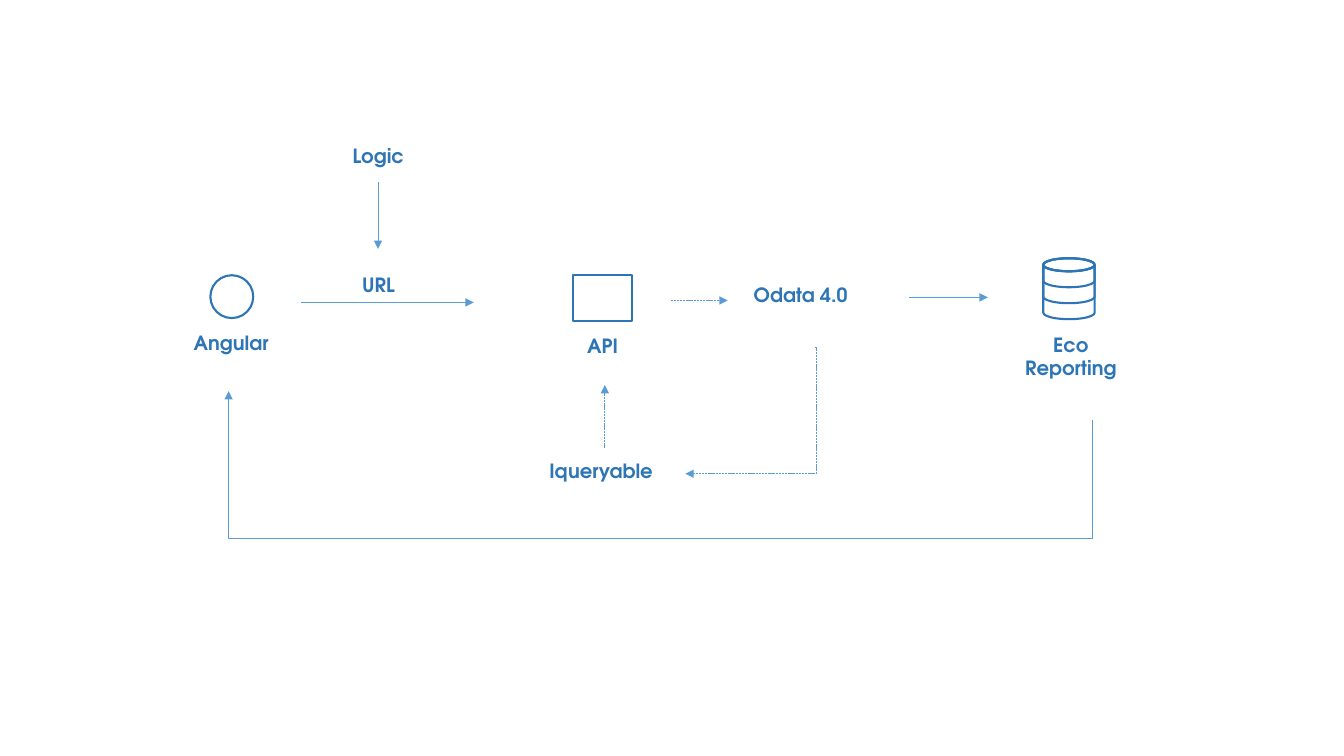
from lxml.etree import SubElement
from pptx import Presentation
from pptx.dml.color import RGBColor
from pptx.enum.dml import MSO_LINE
from pptx.enum.shapes import MSO_CONNECTOR, MSO_SHAPE
from pptx.enum.text import PP_ALIGN
from pptx.oxml.ns import qn
from pptx.util import Pt

FONT = "TeX Gyre Adventor"
LABEL_BLUE = RGBColor(0x2E, 0x75, 0xB6)
ARROW_BLUE = RGBColor(0x5B, 0x9B, 0xD5)
LABEL_INSET = 9.36
LABEL_HEIGHT = 36.72


def add_label(page, text, left, top, width=100, height=LABEL_HEIGHT,
              size=14, color=LABEL_BLUE, bold=True):
    box = page.shapes.add_textbox(Pt(left), Pt(top), Pt(width), Pt(height))
    frame = box.text_frame
    frame.word_wrap = True
    frame.margin_left = frame.margin_right = Pt(LABEL_INSET)
    frame.margin_top = frame.margin_bottom = Pt(LABEL_INSET)
    para = frame.paragraphs[0]
    para.alignment = PP_ALIGN.CENTER
    span = para.add_run()
    span.text = text
    span.font.name = FONT
    span.font.size = Pt(size)
    span.font.bold = bold
    span.font.color.rgb = color


def add_link(page, start, end, dashed=False, arrow=True, bend=None):
    """Draw a connector; bend is the elbow's place along its width, from 0 to 1."""
    kind = MSO_CONNECTOR.STRAIGHT if bend is None else MSO_CONNECTOR.ELBOW
    link = page.shapes.add_connector(kind, *(Pt(value) for value in start + end))
    link.line.color.rgb = ARROW_BLUE
    link.line.width = Pt(0.5)
    if dashed:
        link.line.dash_style = MSO_LINE.SQUARE_DOT
    properties = link._element.spPr
    if arrow:
        SubElement(properties.find(qn("a:ln")), qn("a:tailEnd"), type="triangle")
    if bend is not None:
        guides = properties.find(qn("a:prstGeom")).find(qn("a:avLst"))
        SubElement(guides, qn("a:gd"), name="adj1", fmla=f"val {round(bend * 100000)}")
    SubElement(properties, qn("a:effectLst"))


def add_outline(page, kind, left, top, width, height, weight=1.5):
    shape = page.shapes.add_shape(kind, Pt(left), Pt(top), Pt(width), Pt(height))
    shape.shadow.inherit = False
    shape.fill.background()
    shape.line.color.rgb = LABEL_BLUE
    shape.line.width = Pt(weight)
    return shape


def add_database(page, left, top, width, cap=9.3, band=11.4, bands=3):
    """Nest cylinders that share a top, one for each band."""
    for count in range(bands, 0, -1):
        height = cap + count * band
        cylinder = add_outline(page, MSO_SHAPE.CAN, left, top, width, height)
        cylinder.adjustments[0] = cap / min(width, height)


def main():
    deck = Presentation()
    deck.slide_width, deck.slide_height = Pt(960), Pt(540)
    page = deck.slides.add_slide(deck.slide_layouts[6])

    add_outline(page, MSO_SHAPE.OVAL, 150.3, 196.6, 30.6, 30.6)
    add_outline(page, MSO_SHAPE.RECTANGLE, 409.5, 196.2, 41.8, 33.4)
    add_database(page, 745.2, 184.5, 36.7)

    add_label(page, "Logic", 220.3, 94.3)
    add_label(page, "URL", 220.3, 186.5, height=23.76)
    add_label(page, "Angular", 115.2, 228.2)
    add_label(page, "API", 388.8, 230.4, width=83.5)
    add_label(page, "Iqueryable", 379.4, 319.7)
    add_label(page, "Odata 4.0", 522, 193.7)
    add_label(page, "Eco Reporting", 721.4, 228.2, width=87.1)

    add_link(page, (270, 130.3), (270, 177.8))
    add_link(page, (215.3, 216), (338.4, 216))
    add_link(page, (479.5, 214.6), (519.8, 214.6), dashed=True)
    add_link(page, (649.4, 212.4), (705.6, 212.4))
    add_link(page, (432, 319.7), (432, 275), dashed=True)
    add_link(page, (582.5, 248.4), (489.6, 338.4), dashed=True, bend=-0.01)
    add_link(page, (780.5, 300.2), (780.5, 384.5), arrow=False)
    add_link(page, (780.5, 384.5), (163.4, 279.4), bend=1)

    deck.save("out.pptx")


if __name__ == "__main__":
    main()
